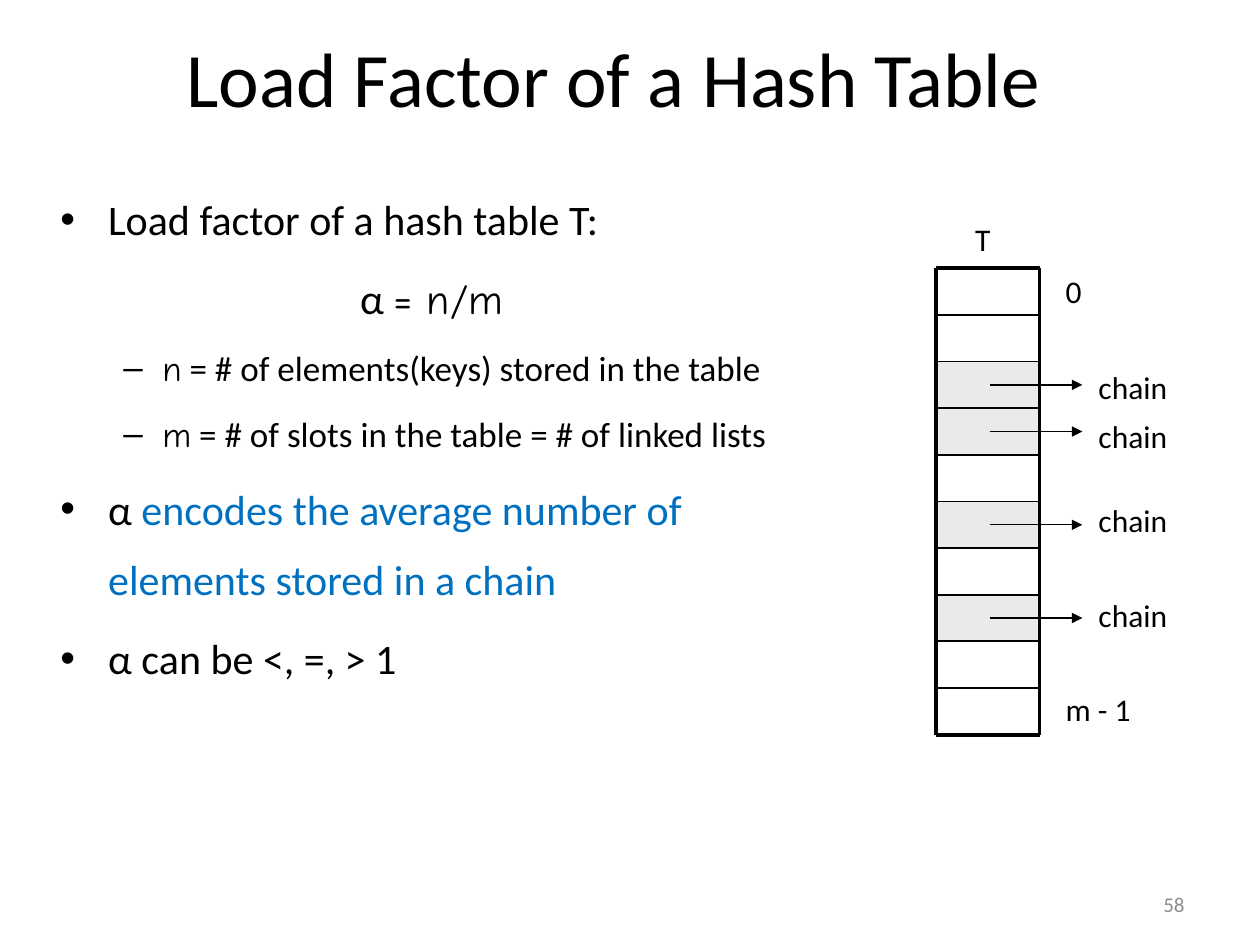
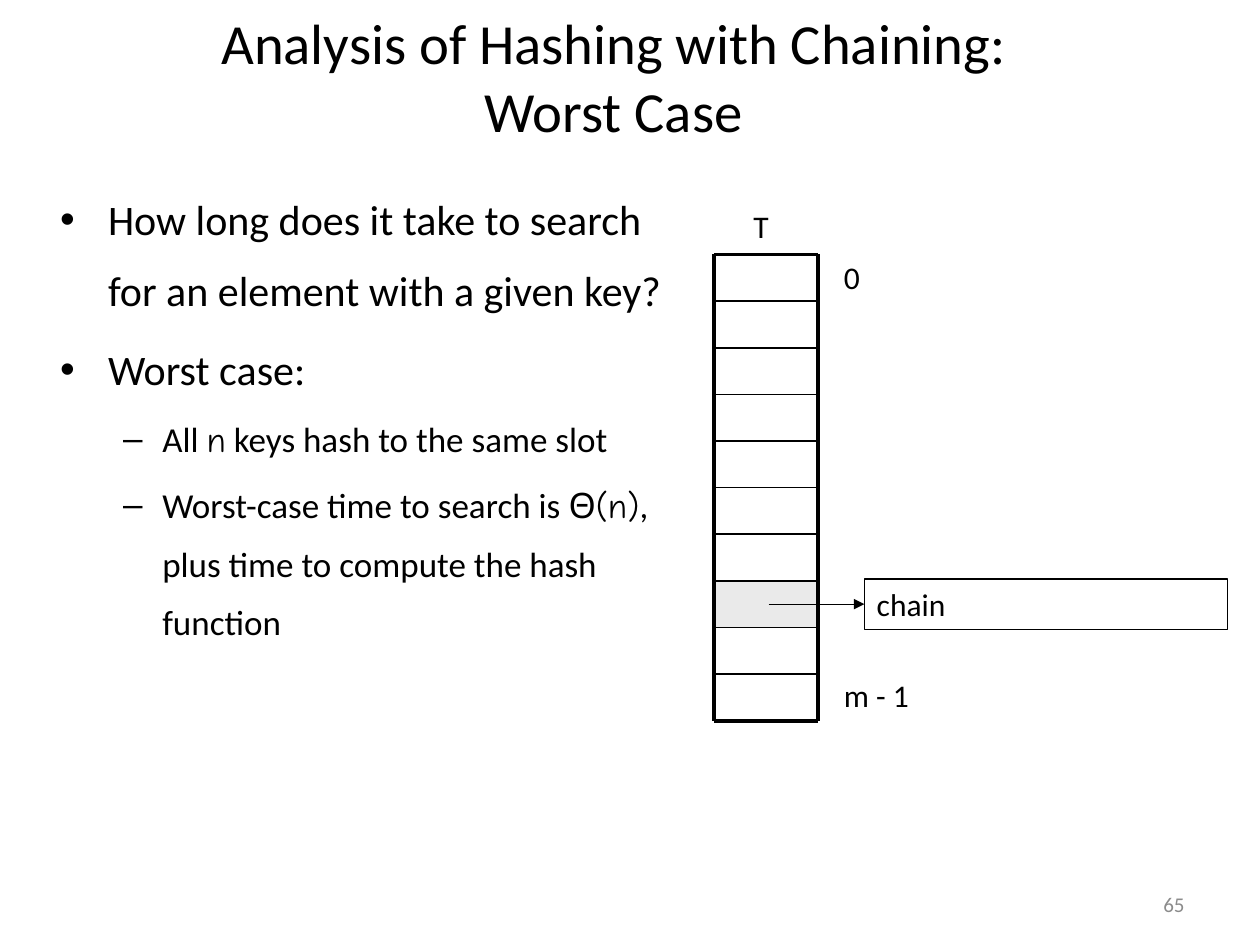
import pptx
import pptx.util
import pptx.dml.color
import pptx.enum.shapes
import pptx.enum.text
import pptx.oxml.ns
from lxml import etree

Inches, Pt = pptx.util.Inches, pptx.util.Pt
Align = pptx.enum.text.PP_ALIGN
Anchor = pptx.enum.text.MSO_ANCHOR
Fit = pptx.enum.text.MSO_AUTO_SIZE
Shape = pptx.enum.shapes.MSO_SHAPE

FONT, MATH = "Calibri", "Comic Neue"
BLACK, GREY, BLUE, SHADE = "000000", "8C8C8C", "0070C0", "EAEAEA"
SLOTS, WIDE, HIGH = 10, 0.82, 0.37
LEVELS = {0: ("•", 0.38, -0.38, 24), 1: ("–", 0.81, -0.31, 20)}


def paint(hue):
    """Turn a hex string into a colour."""
    return pptx.dml.color.RGBColor.from_string(hue)


def sub(parent, tag, **attrs):
    """Add a child element in the drawing namespace."""
    return etree.SubElement(parent, pptx.oxml.ns.qn(tag), **attrs)


def write(para, text, size=18, font=FONT, color=BLACK, align=None):
    """Add formatted text to a paragraph, breaking at newlines."""
    if align is not None:
        para.alignment = align
    for num, part in enumerate(text.split("\n")):
        if num:
            para.add_line_break()
        run = para.add_run()
        run.text = part
        run.font.size = Pt(size)
        run.font.name = font
        run.font.color.rgb = paint(color)


def place(shape, left, top, width, height):
    """Set the place and size of a shape."""
    shape.left, shape.top = Inches(left), Inches(top)
    shape.width, shape.height = Inches(width), Inches(height)


def label(slide, text, left, top, width, height=0.4, wrap=False, **form):
    """Add a one-line text box."""
    box = slide.shapes.add_textbox(
        Inches(left), Inches(top), Inches(width), Inches(height))
    frame = box.text_frame
    frame.word_wrap = wrap
    frame.vertical_anchor = Anchor.MIDDLE if wrap else Anchor.TOP
    frame.auto_size = Fit.NONE if wrap else Fit.SHAPE_TO_FIT_TEXT
    write(frame.paragraphs[0], text, **form)


def rect(slide, left, top, width, height, fill=None, edge=None):
    """Add a plain rectangle."""
    box = slide.shapes.add_shape(
        Shape.RECTANGLE, Inches(left), Inches(top), Inches(width), Inches(height))
    box.shadow.inherit = False
    if fill:
        box.fill.solid()
        box.fill.fore_color.rgb = paint(fill)
    else:
        box.fill.background()
    if edge:
        box.line.color.rgb = paint(BLACK)
        box.line.width = Pt(edge)
    else:
        box.line.fill.background()
    return box


def rule(slide, x1, y1, x2, y2, width, arrow=False):
    """Add a straight line, with an arrowhead if asked."""
    line = slide.shapes.add_connector(
        pptx.enum.shapes.MSO_CONNECTOR.STRAIGHT,
        Inches(x1), Inches(y1), Inches(x2), Inches(y2))
    line.line.color.rgb = paint(BLACK)
    line.line.width = Pt(width)
    if arrow:
        sub(line.line._get_or_add_ln(), "a:tailEnd", type="triangle")
    sub(line._element.spPr, "a:effectLst")
    return line


def item(para, level, runs, first, indent=None):
    """Fill a bulleted paragraph, or a plain one with its own indent."""
    mark, left, hang, size = LEVELS[level]
    props = para._p.get_or_add_pPr()
    if indent is None:
        props.set("marL", str(Inches(left)))
        props.set("indent", str(Inches(hang)))
        sub(props, "a:buFont", typeface="Arial")
        sub(props, "a:buChar", char=mark)
    else:
        props.set("marL", str(Inches(indent)))
        props.set("indent", "0")
        sub(props, "a:buNone")
    para.level = level
    para.line_spacing = 1.4
    para.space_before = Pt(0 if first else size * 0.2)
    for text, form in runs:
        write(para, text, size=size, **form)


def body(slide, width, items):
    """Add the list of points on the left."""
    box = slide.shapes.add_textbox(
        Inches(0.38), Inches(1.33), Inches(width), Inches(5.9))
    frame = box.text_frame
    frame.word_wrap = True
    for num, (level, runs, *indent) in enumerate(items):
        para = frame.add_paragraph() if num else frame.paragraphs[0]
        item(para, level, runs, not num, *indent)


def table(slide, left, top, used):
    """Draw the hash table with its used slots shaded."""
    right, base = left + WIDE, top + SLOTS * HIGH
    for slot in used:
        rect(slide, left, top + slot * HIGH, WIDE, HIGH, fill=SHADE)
    for row in range(SLOTS + 1):
        y = top + row * HIGH
        rule(slide, left, y, right, y, 2.25 if row in (0, SLOTS) else 1)
    for x in (left, right):
        rule(slide, x, top, x, base, 2.25)
    label(slide, "0", left + 0.93, top - 0.02, 0.34)
    label(slide, "m - 1", left + 0.93, base - 0.4, 0.77)
    label(slide, "T", left + 0.21, top - 0.43, 0.35)


def link(slide, left, top, slot):
    """Draw the arrow that leaves a used slot."""
    y = top + (slot + 0.5) * HIGH
    return rule(slide, left + 0.43, y, left + 1.16, y, 0.75, arrow=True)


def start(deck, title, size, page):
    """Add a slide with its title and page number."""
    slide = deck.slides.add_slide(deck.slide_layouts[5])
    head = slide.shapes.title
    place(head, 0.37, 0.11, 9, 0.99)
    frame = head.text_frame
    frame.auto_size = Fit.NONE
    frame.vertical_anchor = Anchor.MIDDLE
    write(frame.paragraphs[0], title, size=size, align=Align.CENTER)
    label(slide, page, 7.17, 7, 2.33, 0.35, wrap=True,
          size=12, color=GREY, align=Align.RIGHT)
    return slide


def load(deck):
    """Build the slide on the load factor."""
    slide = start(deck, "Load Factor of a Hash Table", 44, "58")
    math = {"font": MATH}
    body(slide, 6.38, [
        (0, [("Load factor of a hash table T:", {})]),
        (0, [("α ", {}), ("= n/m", math)], 2.38),
        (1, [("n", math), (" = # of elements(keys) stored in the table", {})]),
        (1, [("m", math), (" = # of slots in the table = # of linked lists", {})]),
        (0, [("α ", {}),
             ("encodes the average number of elements stored in a chain",
              {"color": BLUE})]),
        (0, [("α can be <, =, > 1", {})]),
    ])
    left, top = 7.43, 2.13
    chains = {2: 2.87, 3: 3.26, 5: 3.93, 7: 4.68}
    table(slide, left, top, chains)
    for slot, y in chains.items():
        link(slide, left, top, slot)
        label(slide, "chain", left + 1.19, y, 0.8)


def worst(deck):
    """Build the slide on the worst case."""
    slide = start(
        deck, "Analysis of Hashing with Chaining:\nWorst Case", 32.4, "65")
    math = {"font": MATH}
    body(slide, 5.13, [
        (0, [("How long does it take to search for an element with a given key?", {})]),
        (0, [("Worst case:", {})]),
        (1, [("All ", {}), ("n", math), (" keys hash to the same slot", {})]),
        (1, [("Worst-case time to search is ", {}), ("Θ(n)", math),
             (", plus time to compute the hash function", {})]),
    ])
    left, top, slot = 5.67, 2.02, 7
    table(slide, left, top, [slot])
    mid = top + (slot + 0.5) * HIGH
    chain = rect(slide, left + 1.19, mid - 0.2, 2.88, 0.4, edge=0.75)
    frame = chain.text_frame
    frame.word_wrap = True
    frame.vertical_anchor = Anchor.TOP
    write(frame.paragraphs[0], "chain", align=Align.LEFT)
    link(slide, left, top, slot).end_connect(chain, 1)


def main():
    """Build and save the deck."""
    deck = pptx.Presentation()
    deck.slide_width, deck.slide_height = Inches(10), Inches(7.5)
    load(deck)
    worst(deck)
    deck.save("out.pptx")


if __name__ == "__main__":
    main()
